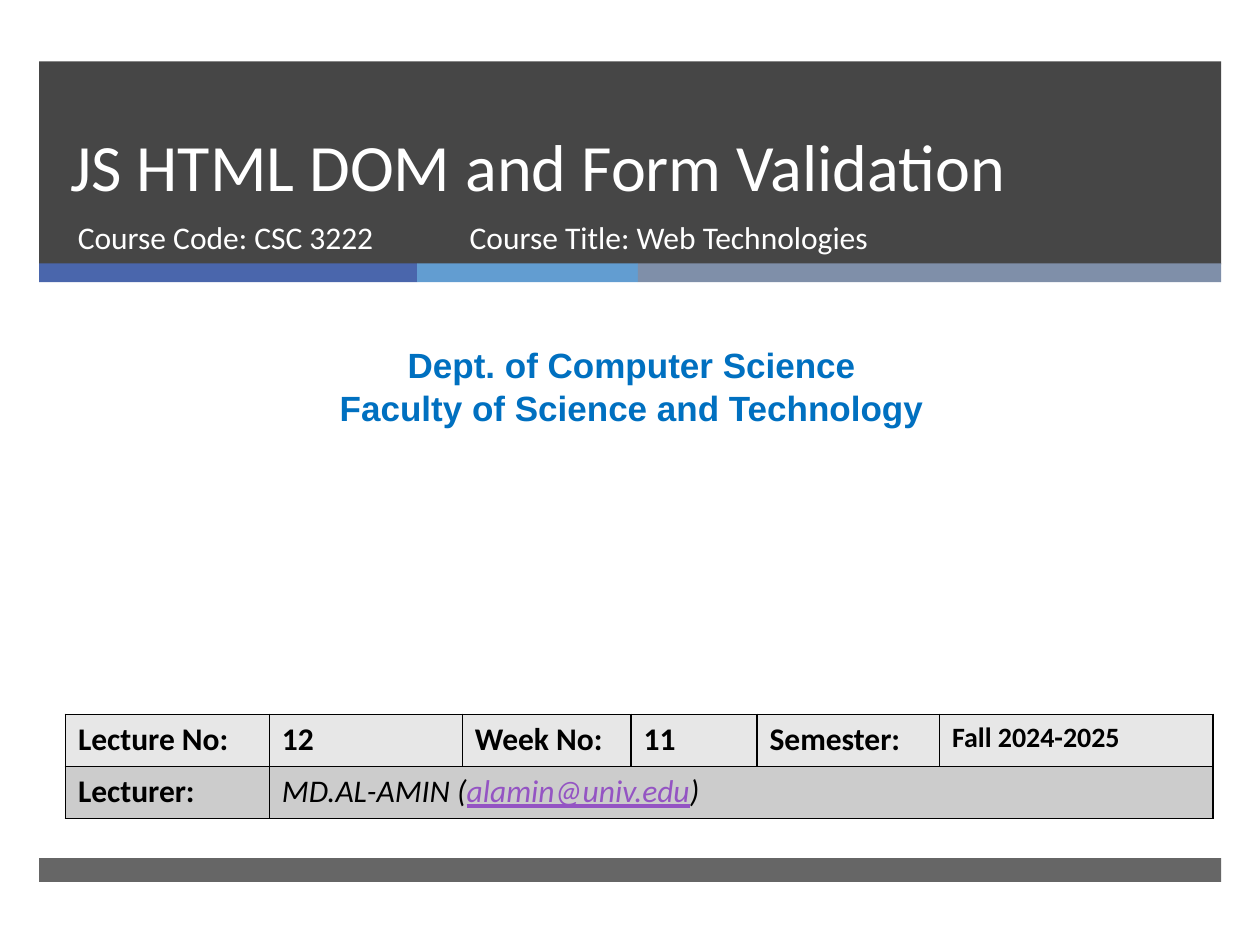
from dataclasses import dataclass

from lxml import etree
from pptx import Presentation
from pptx.dml.color import RGBColor
from pptx.enum.shapes import MSO_SHAPE
from pptx.enum.text import MSO_ANCHOR, PP_ALIGN
from pptx.oxml.ns import qn
from pptx.util import Cm, Pt

RECTANGLE = MSO_SHAPE.RECTANGLE
TOP, BOTTOM = MSO_ANCHOR.TOP, MSO_ANCHOR.BOTTOM
LEFT, CENTER = PP_ALIGN.LEFT, PP_ALIGN.CENTER


@dataclass(frozen=True)
class Theme:
    body_font: str = "Calibri"
    heading_font: str = "Arial"
    white: str = "FFFFFF"
    black: str = "000000"
    dark: str = "262626"
    stripes: tuple = ("4A66AC", "629DD1", "7F8FA9")
    department: str = "0070C0"
    email: str = "9454C3"
    row_fills: tuple = ("E7E7E7", "CCCCCC")
    title_size: float = 37.8
    title_spacing: float = 46
    department_size: float = 20
    text_size: float = 18
    small_size: float = 16
    border_width: float = 1


THEME = Theme()


def add_span(para, text, *, size=THEME.text_size, font=THEME.body_font,
             color=THEME.black, bold=False, italic=False, underline=False):
    span = para.add_run()
    span.text = text
    span.font.size = Pt(size)
    span.font.name = font
    span.font.color.rgb = RGBColor.from_string(color)
    span.font.bold = bold
    span.font.italic = italic
    span.font.underline = underline


class SlideBuilder:
    def __init__(self, theme, slide):
        self.theme = theme
        self.slide = slide

    def bar(self, left, top, width, height, color, opacity=100):
        bar = self.slide.shapes.add_shape(
            RECTANGLE, Cm(left), Cm(top), Cm(width), Cm(height))
        bar.shadow.inherit = False
        bar.line.fill.background()
        bar.fill.solid()
        bar.fill.fore_color.rgb = RGBColor.from_string(color)
        if opacity < 100:
            color_node = bar.fill._xPr.find(f".//{qn('a:srgbClr')}")
            etree.SubElement(color_node, qn("a:alpha"), val=str(opacity * 1000))

    def text(self, left, top, width, height, lines, *, anchor=TOP,
             align=LEFT, spacing=None, **style):
        box = self.slide.shapes.add_textbox(
            Cm(left), Cm(top), Cm(width), Cm(height))
        frame = box.text_frame
        frame.word_wrap = True
        frame.vertical_anchor = anchor
        for index, line in enumerate(lines):
            para = frame.add_paragraph() if index else frame.paragraphs[0]
            para.alignment = align
            if spacing:
                para.line_spacing = Pt(spacing)
            add_span(para, line, **style)

    def table(self, left, top, column_widths, row_height, rows):
        """Each row lists cells; each cell lists (text, style) spans."""
        table = self.slide.shapes.add_table(
            len(rows), len(column_widths), Cm(left), Cm(top),
            Cm(sum(column_widths)), Cm(row_height * len(rows))).table
        for column, width in zip(table.columns, column_widths):
            column.width = Cm(width)
        for row_index, cells in enumerate(rows):
            table.rows[row_index].height = Cm(row_height)
            for cell in table.rows[row_index].cells:
                self.border(cell)
                cell.fill.solid()
                cell.fill.fore_color.rgb = RGBColor.from_string(
                    self.theme.row_fills[row_index])
            for column_index, spans in enumerate(cells):
                para = table.cell(row_index, column_index).text_frame.paragraphs[0]
                for text, style in spans:
                    add_span(para, text, **style)
            # The last cell of a short row takes the remaining columns
            if len(cells) < len(column_widths):
                table.cell(row_index, len(cells) - 1).merge(
                    table.cell(row_index, len(column_widths) - 1))

    def border(self, cell):
        properties = cell._tc.get_or_add_tcPr()
        for side in ("a:lnL", "a:lnR", "a:lnT", "a:lnB"):
            line = etree.SubElement(
                properties, qn(side), w=str(Pt(self.theme.border_width)))
            fill = etree.SubElement(line, qn("a:solidFill"))
            etree.SubElement(fill, qn("a:srgbClr"), val=self.theme.black)


def main():
    deck = Presentation()
    deck.slide_width, deck.slide_height = Cm(25.4), Cm(19.05)
    page = SlideBuilder(THEME, deck.slides.add_slide(deck.slide_layouts[6]))

    # Header band, colour stripes and footer bar
    margin, band_width = 0.79, 23.83
    page.bar(margin, 1.24, band_width, 4.09, THEME.dark, opacity=85)
    stripe_left = margin
    for width, color in zip((7.62, 4.45, 11.76), THEME.stripes):
        page.bar(stripe_left, 5.31, width, 0.38, color)
        stripe_left += width
    page.bar(margin, 17.3, band_width, 0.48, THEME.dark, opacity=70)

    # Title and course details
    page.text(1.17, 1.24, 21.69, 3.02, ["JS HTML DOM and Form Validation"],
              anchor=BOTTOM, spacing=THEME.title_spacing,
              size=THEME.title_size, color=THEME.white)
    page.text(1.32, 4.27, 7.75, 1.35, ["Course Code: CSC 3222"],
              color=THEME.white)
    page.text(9.22, 4.27, 11.56, 1.35, ["Course Title: Web Technologies"],
              color=THEME.white)

    # Department
    page.text(0.2, 6.81, 25.07, 1.96,
              ["Dept. of Computer Science", "Faculty of Science and Technology"],
              align=CENTER, size=THEME.department_size, bold=True,
              font=THEME.heading_font, color=THEME.department)

    # Lecture details
    bold, italic = {"bold": True}, {"italic": True}
    labels = ("Lecture No:", "12", "Week No:", "11", "Semester:")
    lecture = [[(label, bold)] for label in labels]
    lecture.append([("Fall 2024-2025", {"bold": True, "size": THEME.small_size})])
    email_style = {"italic": True, "underline": True, "color": THEME.email}
    lecturer = [
        [("Lecturer:", bold)],
        [("MD.AL-AMIN (", italic), ("alamin@univ.edu", email_style), (")", italic)],
    ]
    page.table(1.32, 14.4, (4.11, 3.89, 3.4, 2.54, 3.68, 5.51), 1.05,
               [lecture, lecturer])

    deck.save("out.pptx")


if __name__ == "__main__":
    main()
